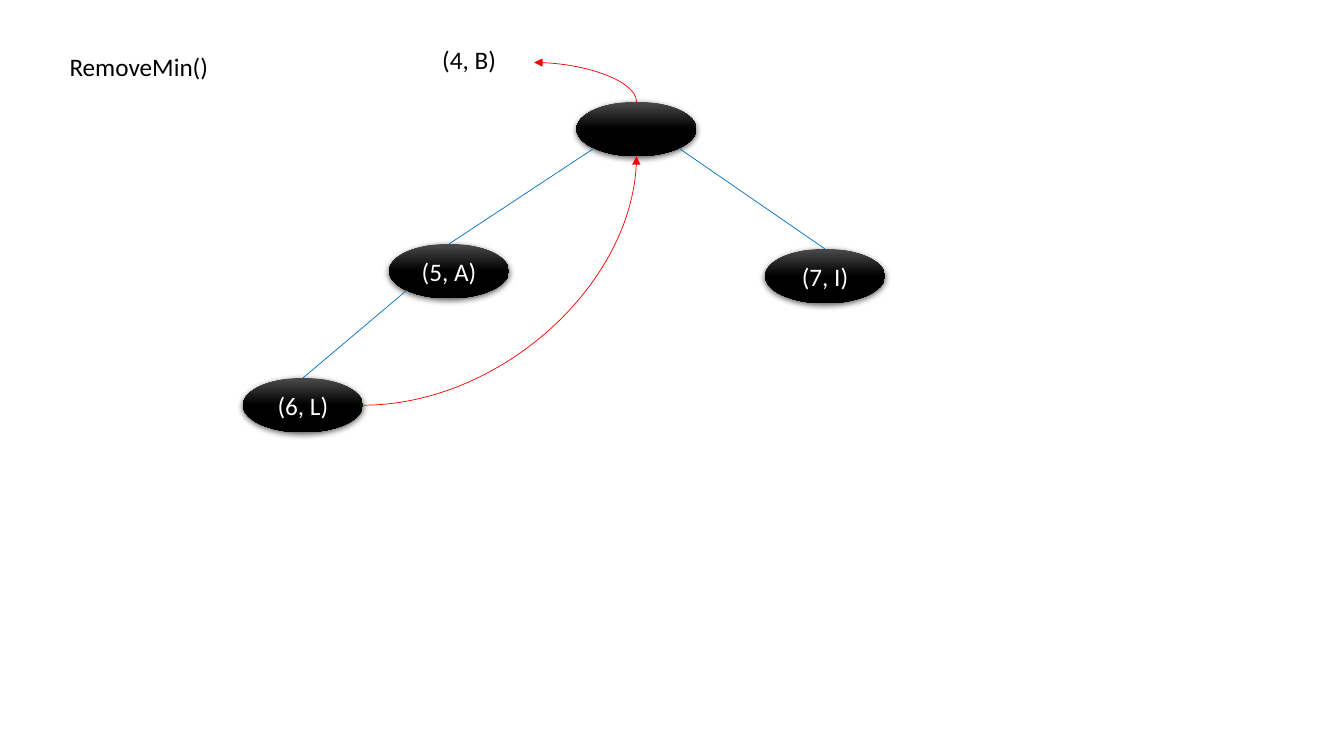
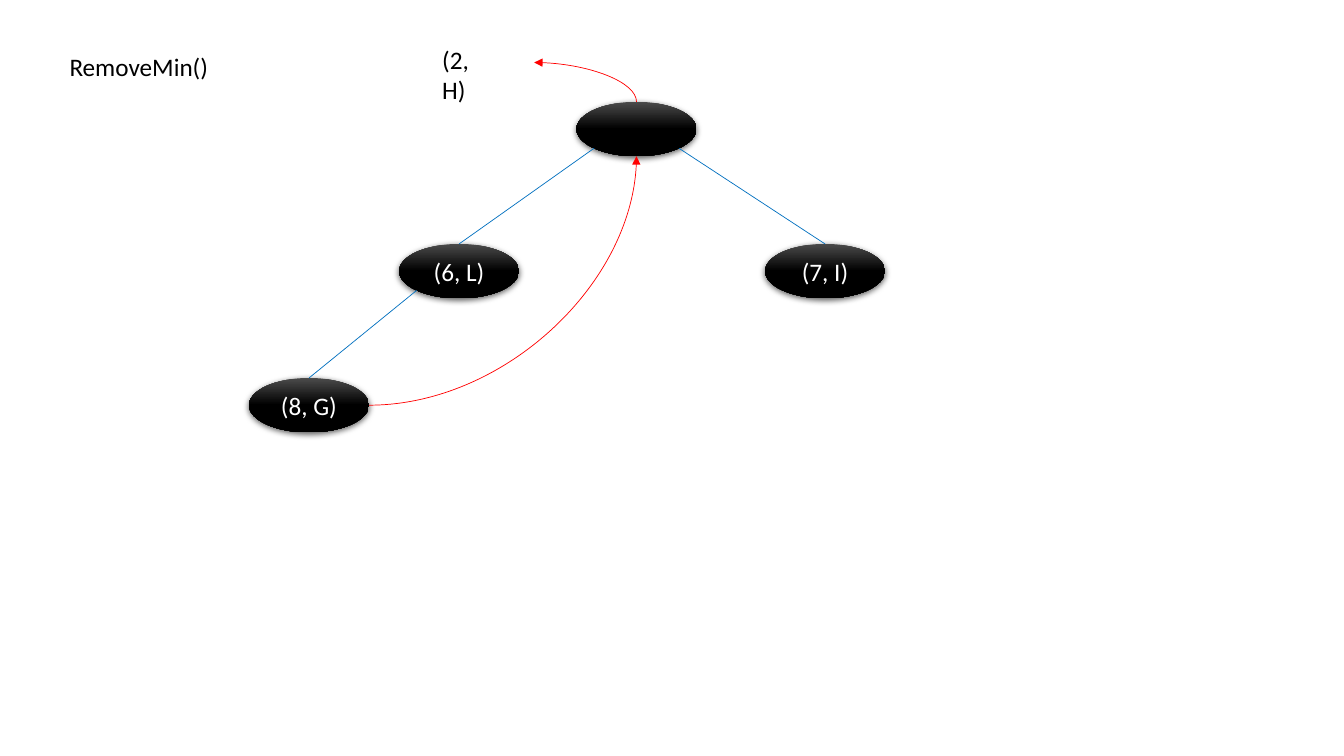
import math
import pptx
import pptx.util
import pptx.dml.color
import pptx.enum.shapes
import pptx.enum.text
import pptx.oxml.ns
from lxml import etree

Pt = pptx.util.Pt
RGB = pptx.dml.color.RGBColor.from_string
Kind = pptx.enum.shapes.MSO_CONNECTOR
Align = pptx.enum.text.PP_ALIGN
Anchor = pptx.enum.text.MSO_ANCHOR
Fit = pptx.enum.text.MSO_AUTO_SIZE
qn = pptx.oxml.ns.qn

TOP, LOW_LEFT, BOTTOM, LOW_RIGHT, RIGHT = 0, 3, 4, 5, 6


class Theme:
    ink = RGB("000000")
    sheen = RGB("4B4B4B")
    white = RGB("FFFFFF")
    edge = RGB("0070C0")
    move = RGB("FF0000")
    font = "Calibri"
    size = Pt(18)
    thin = Pt(0.5)
    node = (8.93, 7.2)
    title = (4.42, 6.13, 12.38, 5.33)
    label = (32.17, 5.2, 5.6, 5.33)
    goal = (39.75, 8.27)


def apply(target, values):
    for name, value in values.items():
        setattr(target, name, value)


def add(parent, tag, **values):
    return etree.SubElement(parent, qn(tag), {k: str(v) for k, v in values.items()})


class Deck:
    def __init__(self, theme):
        self.theme = theme
        self.file = pptx.Presentation()
        apply(self.file, {"slide_width": pptx.util.Inches(13.33),
                          "slide_height": pptx.util.Inches(7.5)})

    def scale(self, x, y):
        return (round(self.file.slide_width * x / 100),
                round(self.file.slide_height * y / 100))

    def fill_text(self, shape, text, color, align, anchor, wrap=True, fit=Fit.NONE):
        frame = shape.text_frame
        apply(frame, {"text": text, "word_wrap": wrap, "auto_size": fit,
                      "vertical_anchor": anchor})
        para = frame.paragraphs[0]
        para.alignment = align
        font = para.runs[0].font
        apply(font, {"name": self.theme.font, "size": self.theme.size})
        font.color.rgb = color

    def start(self, title):
        self.slide = self.file.slides.add_slide(self.file.slide_layouts[5])
        head = self.slide.shapes.title
        x, y, w, h = self.theme.title
        left, top = self.scale(x, y)
        width, height = self.scale(w, h)
        apply(head, {"left": left, "top": top, "width": width, "height": height})
        self.fill_text(head, title, self.theme.ink, Align.LEFT, Anchor.TOP,
                       fit=Fit.SHAPE_TO_FIT_TEXT)

    def label(self, text):
        x, y, w, h = self.theme.label
        box = self.slide.shapes.add_textbox(*self.scale(x, y), *self.scale(w, h))
        self.fill_text(box, text, self.theme.ink, Align.LEFT, Anchor.TOP,
                       wrap=False, fit=Fit.SHAPE_TO_FIT_TEXT)

    def node(self, x, y, text=""):
        w, h = self.theme.node
        oval = self.slide.shapes.add_shape(
            pptx.enum.shapes.MSO_SHAPE.OVAL,
            *self.scale(x - w / 2, y - h / 2), *self.scale(w, h))
        oval.fill.gradient()
        oval.fill.gradient_angle = 270
        stops = ((0, self.theme.sheen), (0.5, self.theme.ink))
        for stop, (place, color) in zip(oval.fill.gradient_stops, stops):
            stop.position = place
            stop.color.rgb = color
        oval.line.fill.background()
        oval.shadow.inherit = False
        glow = add(oval.element.spPr.find(qn("a:effectLst")), "a:outerShdw",
                   blurRad=Pt(4.5), dist=Pt(1.5), dir=5400000, rotWithShape=0)
        tint = add(glow, "a:srgbClr", val=self.theme.ink)
        add(tint, "a:alpha", val=63000)
        if text:
            self.fill_text(oval, text, self.theme.white, Align.CENTER, Anchor.MIDDLE)
        return oval

    def site(self, oval, index):
        turn = math.radians(45 * index)
        return (round(oval.left + oval.width * (1 - math.sin(turn)) / 2),
                round(oval.top + oval.height * (1 - math.cos(turn)) / 2))

    def link(self, kind, begin, end, color, joins):
        line = self.slide.shapes.add_connector(kind, *begin, *end)
        line.line.width = self.theme.thin
        line.line.color.rgb = color
        add(line.element.spPr, "a:effectLst")
        hold = line.element.find(".//" + qn("p:cNvCxnSpPr"))
        for tag, (oval, index) in zip(("a:stCxn", "a:endCxn"), joins):
            add(hold, tag, id=oval.shape_id, idx=index)
        return line

    def edge(self, upper, index, lower):
        self.link(Kind.STRAIGHT, self.site(upper, index), self.site(lower, TOP),
                  self.theme.edge, ((upper, index), (lower, TOP)))

    def curve(self, begin, end, joins):
        line = self.link(Kind.CURVE, begin, end, self.theme.move, joins)
        line.element.spPr.find(qn("a:prstGeom")).set("prst", "curvedConnector2")
        add(line.element.spPr.find(qn("a:ln")), "a:tailEnd", type="triangle")
        return line

    def rise(self, leaf, root):
        self.curve(self.site(leaf, RIGHT), self.site(root, BOTTOM),
                   ((leaf, RIGHT), (root, BOTTOM)))

    def leave(self, root):
        (x, y), (u, v) = self.site(root, TOP), self.scale(*self.theme.goal)
        mid, row = (x + u) // 2, (y + v) // 2
        half, lift = (x - u) // 2, (y - v) // 2
        line = self.curve((mid - lift, row + half), (mid + lift, row - half),
                          ((root, TOP),))
        line.element.spPr.find(qn("a:xfrm")).set("rot", "16200000")

    def heap(self, gone, left, right, leaf):
        self.start("RemoveMin()")
        root = self.node(47.36, 17.07)
        left, right, leaf = (self.node(*item) for item in (left, right, leaf))
        self.edge(root, LOW_LEFT, left)
        self.edge(root, LOW_RIGHT, right)
        self.edge(left, LOW_LEFT, leaf)
        self.leave(root)
        self.label(gone)
        self.rise(leaf, root)


def main():
    deck = Deck(Theme)
    deck.heap("(4, B)", (33.41, 35.87, "(5, A)"), (61.39, 36.53, "(7, I)"),
              (22.54, 53.6, "(6, L)"))
    deck.heap("(2, H)", (34.16, 35.87, "(6, L)"), (61.39, 35.87, "(7, I)"),
              (22.99, 53.6, "(8, G)"))
    deck.file.save("out.pptx")


if __name__ == "__main__":
    main()
